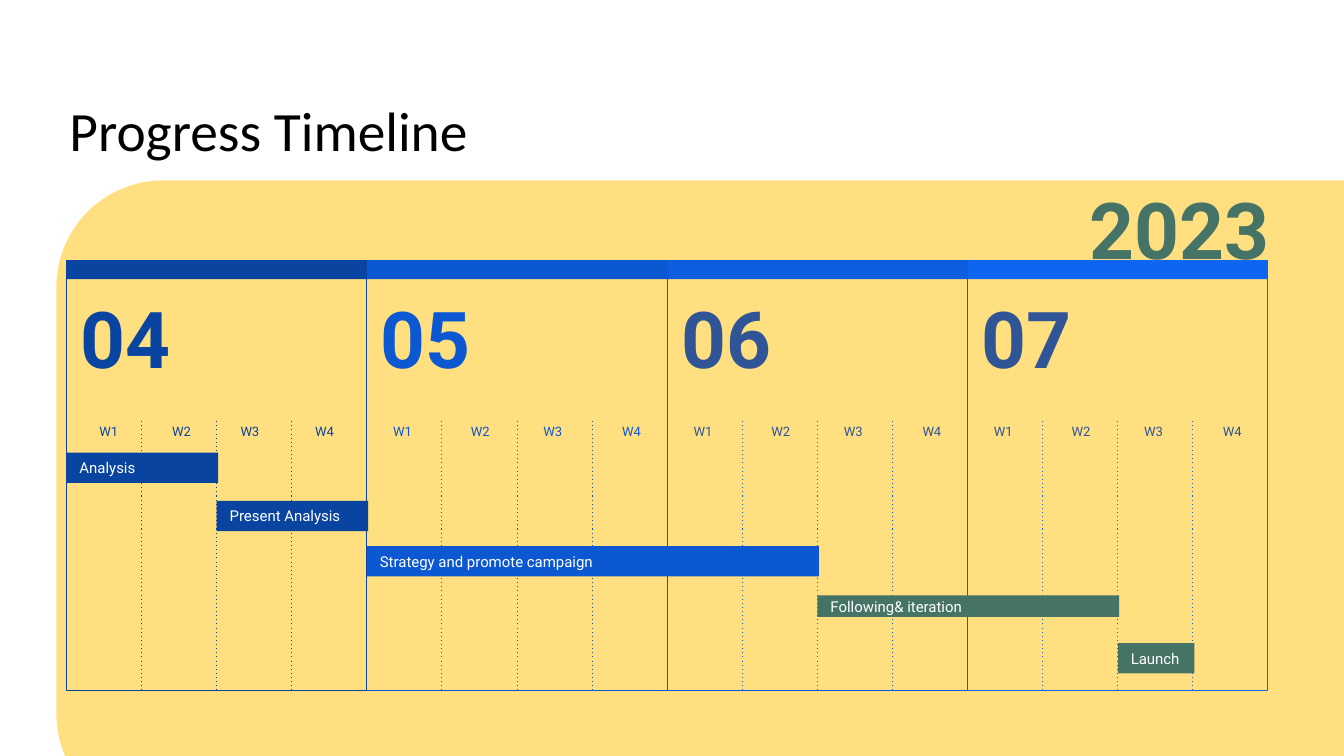
from lxml import etree
from pptx import Presentation
from pptx.dml.color import RGBColor
from pptx.enum import dml, shapes, text
from pptx.oxml.ns import qn
from pptx.util import Pt

# Content
TITLE = "Progress Timeline"
YEAR = "2023"
WEEKS = ["W1", "W2", "W3", "W4"]
EVEN_CENTERS = (25.5, 81, 132.8, 189)
# number, line and header colour, text colour, week label centers from the month's left
MONTHS = [
    ("04", "navy", "navy", (30.2, 82.1, 131, 184.3)),
    ("05", "blue", "blue", EVEN_CENTERS),
    ("06", "azure", "slate", EVEN_CENTERS),
    ("07", "bright", "slate", EVEN_CENTERS),
]
# name, first week, end week, top, height, colour
TASKS = [
    ("Analysis", 0, 2, 323.3, 21.6, "navy"),
    ("Present Analysis", 2, 4, 357.8, 21.6, "navy"),
    ("Strategy and promote campaign", 4, 10, 390.2, 21.6, "blue"),
    ("Following& iteration", 10, 14, 425.2, 15.4, "green"),
    ("Launch", 14, 15, 459.4, 21.6, "green"),
]

THEME = {
    "colors": {
        "navy": "0944A1", "blue": "0C58D3", "azure": "0D5DDF", "bright": "0E65F0",
        "slate": "2F5597", "green": "457467", "gold": "FFC000",
        "white": "FFFFFF", "black": "000000",
    },
    "sizes": {"title": 39.6, "number": 56, "week": 9.3, "task": 10.7},
    "fonts": {"title": "Calibri", "body": "Roboto"},
}

# Layout, in points
LEFT, TOP, BOTTOM = 47.5, 185.76, 493.2
MONTH_WIDTH = 214.56
WEEK_WIDTH = MONTH_WIDTH / len(WEEKS)
WEEK_TOP, WEEK_LABEL_WIDTH, WEEK_LABEL_HEIGHT = 298.8, 36.72, 18.72
HEADER_HEIGHT = 13.68
INSET = 9.3


def color(name):
    return RGBColor.from_string(THEME["colors"][name])


def write(shape, words, *, size, fill="white", font="body", bold=False,
          align=text.PP_ALIGN.LEFT, anchor=text.MSO_ANCHOR.MIDDLE, spacing=None):
    frame = shape.text_frame
    frame.word_wrap = True
    frame.vertical_anchor = anchor
    frame.margin_left = frame.margin_right = Pt(INSET)
    frame.margin_top = frame.margin_bottom = Pt(INSET)
    paragraph = frame.paragraphs[0]
    paragraph.alignment = align
    if spacing:
        paragraph.line_spacing = spacing
    run = paragraph.add_run()
    run.text = words
    run.font.name = THEME["fonts"][font]
    run.font.size = Pt(THEME["sizes"][size])
    run.font.bold = bold
    run.font.color.rgb = color(fill)


def add_label(parent, words, left, top, width, height, **style):
    box = parent.shapes.add_textbox(Pt(left), Pt(top), Pt(width), Pt(height))
    write(box, words, **style)


def add_block(parent, left, top, width, height, fill=None, line=None,
              kind=shapes.MSO_SHAPE.RECTANGLE):
    shape = parent.shapes.add_shape(kind, Pt(left), Pt(top), Pt(width), Pt(height))
    shape.shadow.inherit = False
    if fill:
        shape.fill.solid()
        shape.fill.fore_color.rgb = color(fill)
    else:
        shape.fill.background()
    if line:
        shape.line.color.rgb = color(line)
        shape.line.width = Pt(0.75)
    else:
        shape.line.fill.background()
    return shape


def add_divider(parent, left, line):
    divider = parent.shapes.add_connector(
        shapes.MSO_CONNECTOR.STRAIGHT, Pt(left), Pt(BOTTOM), Pt(left), Pt(WEEK_TOP))
    divider.line.color.rgb = color(line)
    divider.line.width = Pt(0.75)
    divider.line.dash_style = dml.MSO_LINE.ROUND_DOT
    divider.element.find(".//" + qn("a:prstDash")).set("val", "dot")
    etree.SubElement(divider.element.spPr, qn("a:effectLst"))
    return divider


def add_month(slide, index):
    number, line, ink, centers = MONTHS[index]
    left = LEFT + index * MONTH_WIDTH
    group = slide.shapes.add_group_shape()
    frame = add_block(group, left, TOP, MONTH_WIDTH, BOTTOM - TOP, line=line)
    add_block(group, left, TOP, MONTH_WIDTH, HEADER_HEIGHT, fill=line)
    add_label(group, number, left, 199.4, 84.24, 83.5, size="number", fill=ink,
              bold=True, align=text.PP_ALIGN.CENTER)
    for week, center in zip(WEEKS, centers):
        add_label(group, week, left + center - WEEK_LABEL_WIDTH / 2, WEEK_TOP,
                  WEEK_LABEL_WIDTH, WEEK_LABEL_HEIGHT, size="week", fill=ink,
                  align=text.PP_ALIGN.CENTER)
    for step in range(1, len(WEEKS)):
        divider = add_divider(group, left + step * WEEK_WIDTH, line)
        if step * 2 == len(WEEKS):
            divider.begin_connect(frame, 2)


def main():
    presentation = Presentation()
    presentation.slide_width, presentation.slide_height = Pt(960), Pt(540)
    slide = presentation.slides.add_slide(presentation.slide_layouts[6])

    # Half-transparent panel running off the right and bottom edges
    panel = add_block(slide, 40.3, 128.9, 1041.8, 457.2, fill="gold",
                      kind=shapes.MSO_SHAPE.ROUNDED_RECTANGLE)
    panel_color = panel.element.spPr.find(qn("a:solidFill"))[0]
    etree.SubElement(panel_color, qn("a:alpha")).set("val", "50000")

    # Title
    add_label(slide, TITLE, 40.3, 68.4, 894.2, 60.5, size="title", font="title",
              fill="black", anchor=text.MSO_ANCHOR.TOP, spacing=0.8)

    # Months, the earliest in front
    for index in reversed(range(len(MONTHS))):
        add_month(slide, index)

    # Task bars
    for name, start, end, top, height, fill in TASKS:
        bar = add_block(slide, LEFT + start * WEEK_WIDTH, top,
                        (end - start) * WEEK_WIDTH + 1, height, fill=fill)
        write(bar, name, size="task")

    # Year
    add_label(slide, YEAR, 763.2, 127.4, 159.1, 71.3, size="number", fill="green",
              bold=True, align=text.PP_ALIGN.CENTER)

    presentation.save("out.pptx")


if __name__ == "__main__":
    main()
